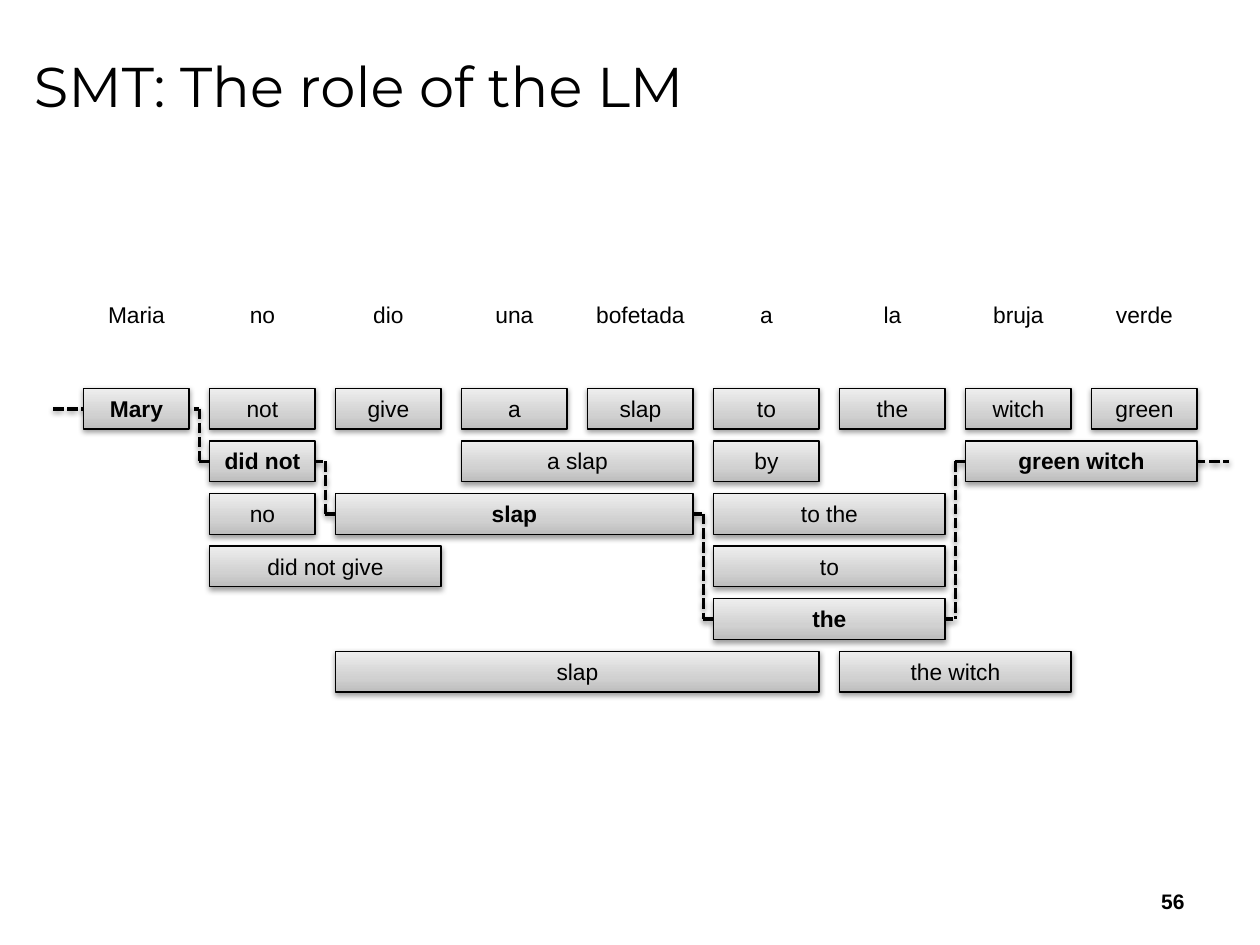
from itertools import pairwise

from lxml import etree
from pptx import Presentation
from pptx import util as u
from pptx.dml.color import RGBColor
from pptx.enum import dml, shapes, text

# Content
TITLE = "SMT: The role of the LM"
PAGE_NUMBER = "56"
SOURCE_WORDS = ["Maria", "no", "dio", "una", "bofetada", "a", "la", "bruja", "verde"]
# (phrase, first column, columns covered) for each row
OPTIONS = [
    [("Mary", 0, 1), ("not", 1, 1), ("give", 2, 1), ("a", 3, 1), ("slap", 4, 1),
     ("to", 5, 1), ("the", 6, 1), ("witch", 7, 1), ("green", 8, 1)],
    [("did not", 1, 1), ("a slap", 3, 2), ("by", 5, 1), ("green witch", 7, 2)],
    [("no", 1, 1), ("slap", 2, 3), ("to the", 5, 2)],
    [("did not give", 1, 2), ("to", 5, 2)],
    [("the", 5, 2)],
    [("slap", 2, 4), ("the witch", 6, 2)],
]
CHOSEN = [(0, 0), (1, 1), (2, 2), (5, 4), (7, 1)]  # (column, row) along the path

# Grid, in centimetres
LEFT, TOP, COLUMN, ROW, GAP, HEIGHT = 1.69, 7.83, 2.54, 1.06, 0.42, 0.82
PATH_START, PATH_END = 1.07, 24.77

BLACK = "000000"
STOPS = [(0, "BDBDBD"), (35, "D1D1D1"), (100, "EEEEEE")]
NS = 'xmlns:a="http://schemas.openxmlformats.org/drawingml/2006/main"'


def colour(value):
    return RGBColor.from_string(value)


def write(box, words, size=13, font="Arial", bold=False, align=text.PP_ALIGN.CENTER,
          anchor=text.MSO_ANCHOR.TOP, fit=text.MSO_AUTO_SIZE.SHAPE_TO_FIT_TEXT):
    frame = box.text_frame
    frame.word_wrap = True
    frame.auto_size = fit
    frame.vertical_anchor = anchor
    para = frame.paragraphs[0]
    para.alignment = align
    span = para.add_run()
    span.text = words
    span.font.size, span.font.name, span.font.bold = u.Pt(size), font, bold
    span.font.color.rgb = colour(BLACK)


def add_shadow(item):
    item._element.spPr.append(etree.fromstring(
        f'<a:effectLst {NS}><a:outerShdw blurRad="40000" dist="20000" dir="5400000" '
        f'rotWithShape="0"><a:srgbClr val="{BLACK}"><a:alpha val="38000"/></a:srgbClr>'
        '</a:outerShdw></a:effectLst>'))


def add_gradient(box):
    stops = "".join(f'<a:gs pos="{place * 1000}"><a:srgbClr val="{value}"/></a:gs>'
                    for place, value in STOPS)
    box._element.spPr.append(etree.fromstring(
        f'<a:gradFill {NS} rotWithShape="1"><a:gsLst>{stops}</a:gsLst>'
        '<a:lin ang="16200000" scaled="0"/></a:gradFill>'))


def set_line(item, width):
    item.line.color.rgb = colour(BLACK)
    item.line.width = u.Pt(width)


def add_path(page):
    # Horizontal runs pass behind the chosen boxes and turn in the gaps between columns
    turns = [LEFT + column * COLUMN - GAP / 2 for column, _ in CHOSEN[1:]]
    edges = [PATH_START, *turns, PATH_END]
    levels = [TOP + row * ROW + HEIGHT / 2 for _, row in CHOSEN]
    lines = [(x1, y, x2, y) for (x1, x2), y in zip(pairwise(edges), levels)]
    lines += [(x, min(pair), x, max(pair)) for x, pair in zip(turns, pairwise(levels))]
    group = page.shapes.add_group_shape()
    for ends in lines:
        line = group.shapes.add_connector(shapes.MSO_CONNECTOR.STRAIGHT, *map(u.Cm, ends))
        set_line(line, 2)
        line.line.dash_style = dml.MSO_LINE.SQUARE_DOT
        add_shadow(line)


def add_option(page, phrase, column, row, columns):
    box = page.shapes.add_shape(
        shapes.MSO_SHAPE.RECTANGLE, u.Cm(LEFT + column * COLUMN), u.Cm(TOP + row * ROW),
        u.Cm(columns * COLUMN - GAP), u.Cm(HEIGHT))
    add_gradient(box)
    set_line(box, 0.75)
    add_shadow(box)
    write(box, phrase, bold=(column, row) in CHOSEN)


def main():
    deck = Presentation()
    deck.slide_width, deck.slide_height = u.Cm(25.4), u.Cm(19.05)
    page = deck.slides.add_slide(deck.slide_layouts[5])

    # Title
    title = page.shapes.title
    title.left, title.top, title.width, title.height = map(u.Cm, (0.43, 0.3, 24.13, 2.84))
    write(title, TITLE, size=32, font="Montserrat", align=text.PP_ALIGN.LEFT,
          anchor=text.MSO_ANCHOR.MIDDLE, fit=text.MSO_AUTO_SIZE.NONE)

    # Chosen path, behind the boxes
    add_path(page)

    # Source sentence
    for column, word in enumerate(SOURCE_WORDS):
        label = page.shapes.add_textbox(u.Cm(LEFT - GAP / 2 + column * COLUMN), u.Cm(5.93),
                                        u.Cm(COLUMN), u.Cm(HEIGHT))
        write(label, word)

    # Translation options
    for row, options in enumerate(OPTIONS):
        for phrase, column, columns in options:
            add_option(page, phrase, column, row, columns)

    # Page number
    number = page.shapes.add_textbox(*map(u.Cm, (18.2, 17.65, 5.93, 1.02)))
    write(number, PAGE_NUMBER, size=12, bold=True, align=text.PP_ALIGN.RIGHT,
          anchor=text.MSO_ANCHOR.MIDDLE, fit=text.MSO_AUTO_SIZE.NONE)

    deck.save("out.pptx")


if __name__ == "__main__":
    main()
